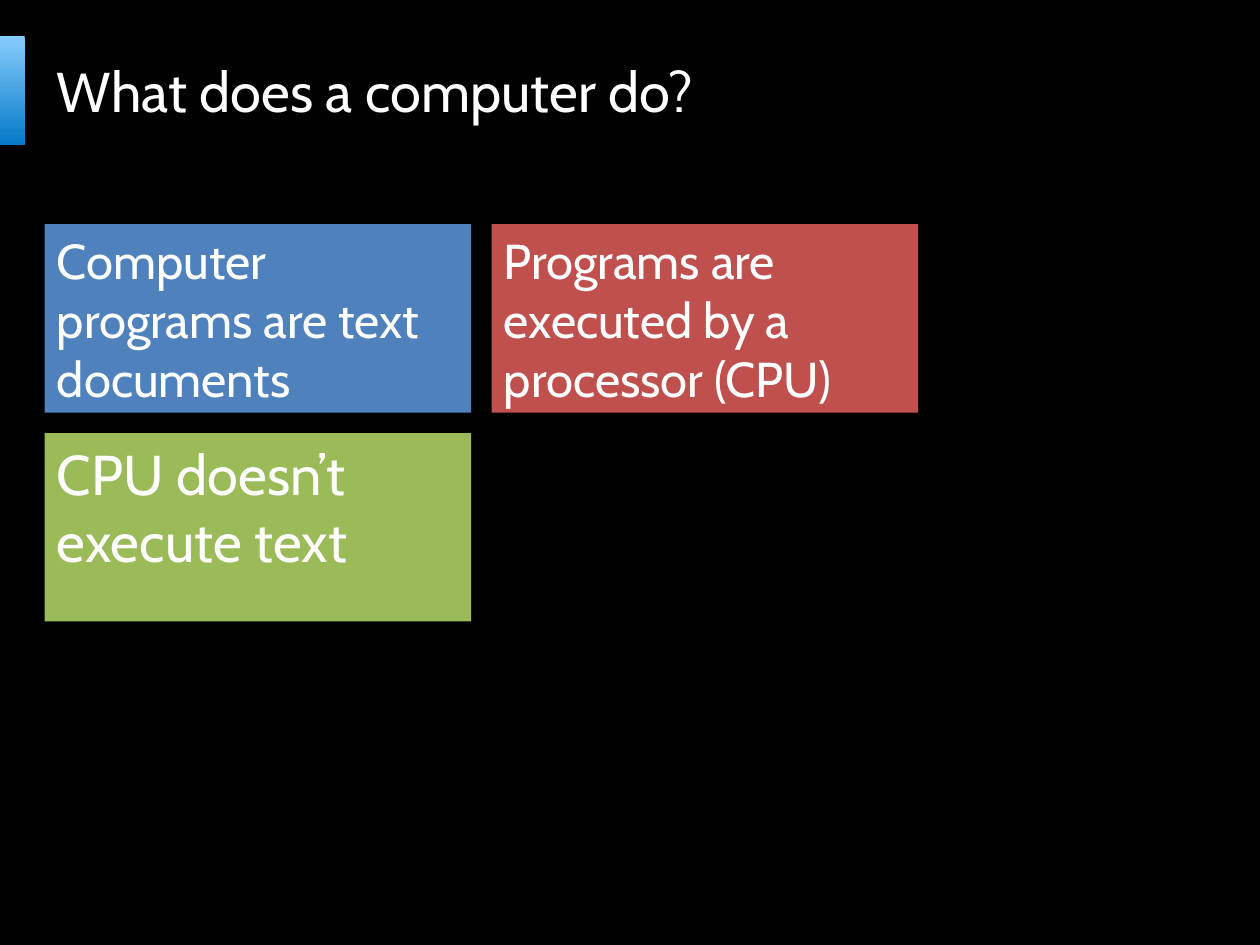
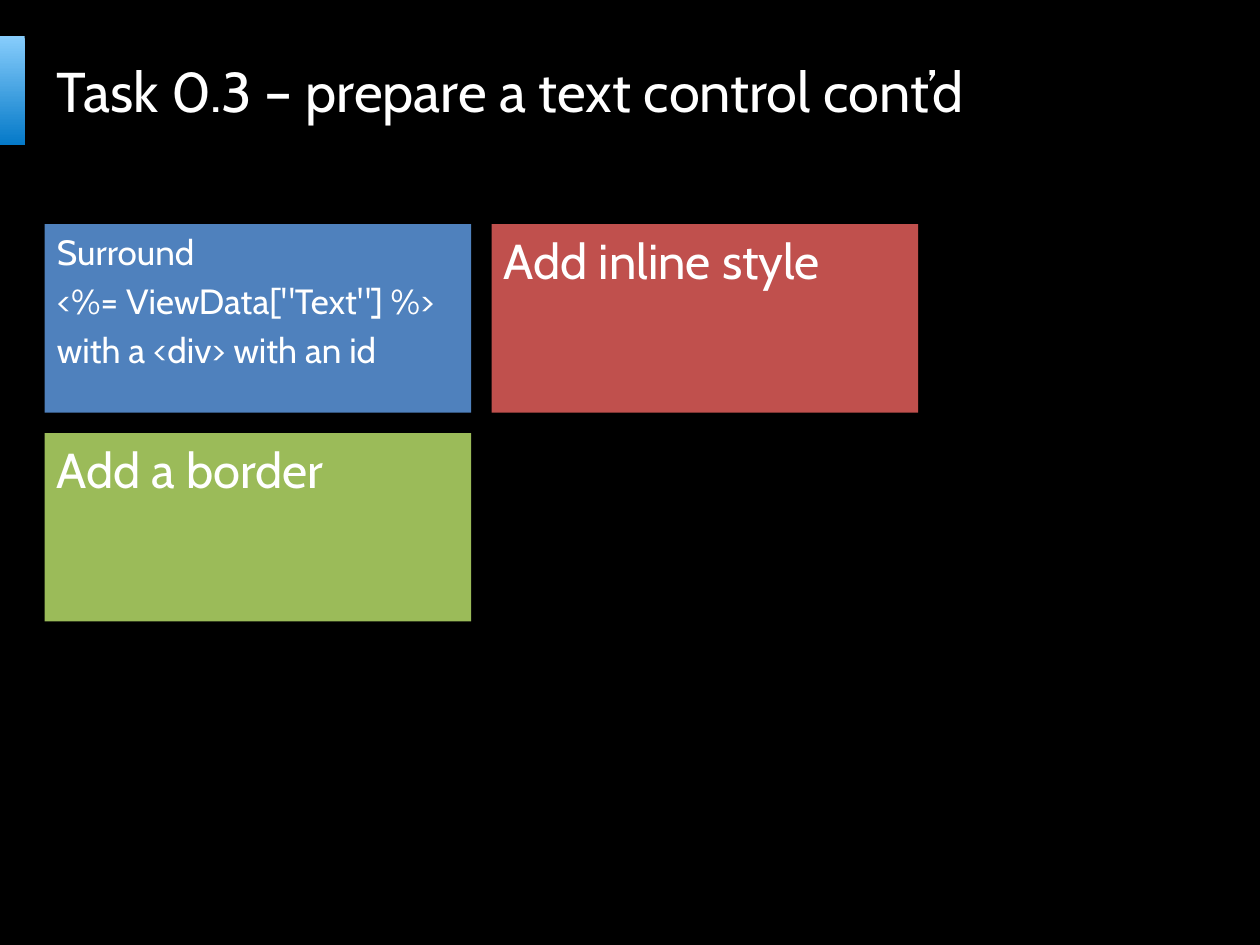
"""Build two dark slides with a gradient title marker and a grid of coloured text tiles."""
import pptx
import pptx.dml.color
import pptx.enum.shapes
import pptx.enum.text
import pptx.util

Cm = pptx.util.Cm
RGBColor = pptx.dml.color.RGBColor

BLACK = RGBColor(0x00, 0x00, 0x00)
WHITE = RGBColor(0xFF, 0xFF, 0xFF)
MARKER_TOP = RGBColor(0x87, 0xCD, 0xFC)
MARKER_BOTTOM = RGBColor(0x04, 0x79, 0xC8)
BLUE = RGBColor(0x4F, 0x81, 0xBD)
RED = RGBColor(0xC0, 0x50, 0x4D)
GREEN = RGBColor(0x9B, 0xBB, 0x59)

FONT = "Cabin"
TITLE_SIZE = 32
LEFT = 0.9
TITLE_TOP = 0.73
TILES_TOP = 4.52
TILE_WIDTH = 8.6
TILE_HEIGHT = 3.8
GAP = 0.41
COLUMNS = 2
TILE_COLOURS = [BLUE, RED, GREEN]

SLIDES = [
    ("What does a computer do?", [
        (28, ["Computer programs are text documents"]),
        (28, ["Programs are executed by a processor (CPU)"]),
        (32, ["CPU doesn’t execute text"]),
    ]),
    ("Task 0.3 – prepare a text control cont’d", [
        (20, ["Surround", '<%= ViewData["Text"] %>', "with a <div> with an id"]),
        (28, ["Add inline style"]),
        (28, ["Add a border"]),
    ]),
]


def add_rectangle(slide, left, top, width, height):
    shape = slide.shapes.add_shape(
        pptx.enum.shapes.MSO_SHAPE.RECTANGLE, Cm(left), Cm(top), Cm(width), Cm(height))
    shape.shadow.inherit = False
    shape.line.fill.background()
    return shape


def write_text(shape, lines, size, anchor, space_before=0):
    frame = shape.text_frame
    frame.word_wrap = True
    frame.vertical_anchor = anchor
    for index, line in enumerate(lines):
        paragraph = frame.add_paragraph() if index else frame.paragraphs[0]
        paragraph.alignment = pptx.enum.text.PP_ALIGN.LEFT
        paragraph.space_before = pptx.util.Pt(space_before)
        run = paragraph.add_run()
        run.text = line
        run.font.name = FONT
        run.font.size = pptx.util.Pt(size)
        run.font.color.rgb = WHITE


presentation = pptx.Presentation()
presentation.slide_width = Cm(25.4)
presentation.slide_height = Cm(19.05)
background = presentation.slide_master.background.fill
background.solid()
background.fore_color.rgb = BLACK

for title, tiles in SLIDES:
    slide = presentation.slides.add_slide(presentation.slide_layouts[6])

    marker = add_rectangle(slide, 0, TITLE_TOP, 0.5, 2.2)
    marker.fill.gradient()
    marker.fill.gradient_angle = 270
    for stop, colour in zip(marker.fill.gradient_stops, [MARKER_TOP, MARKER_BOTTOM]):
        stop.color.rgb = colour

    title_box = slide.shapes.add_textbox(Cm(LEFT), Cm(TITLE_TOP), Cm(19.6), Cm(2.16))
    write_text(title_box, [title], TITLE_SIZE, pptx.enum.text.MSO_ANCHOR.MIDDLE)

    for index, ((size, lines), colour) in enumerate(zip(tiles, TILE_COLOURS)):
        row, column = divmod(index, COLUMNS)
        tile = add_rectangle(
            slide,
            LEFT + column * (TILE_WIDTH + GAP),
            TILES_TOP + row * (TILE_HEIGHT + GAP),
            TILE_WIDTH,
            TILE_HEIGHT)
        tile.fill.solid()
        tile.fill.fore_color.rgb = colour
        write_text(tile, lines, size, pptx.enum.text.MSO_ANCHOR.TOP, space_before=size * 0.2)

presentation.save("out.pptx")
